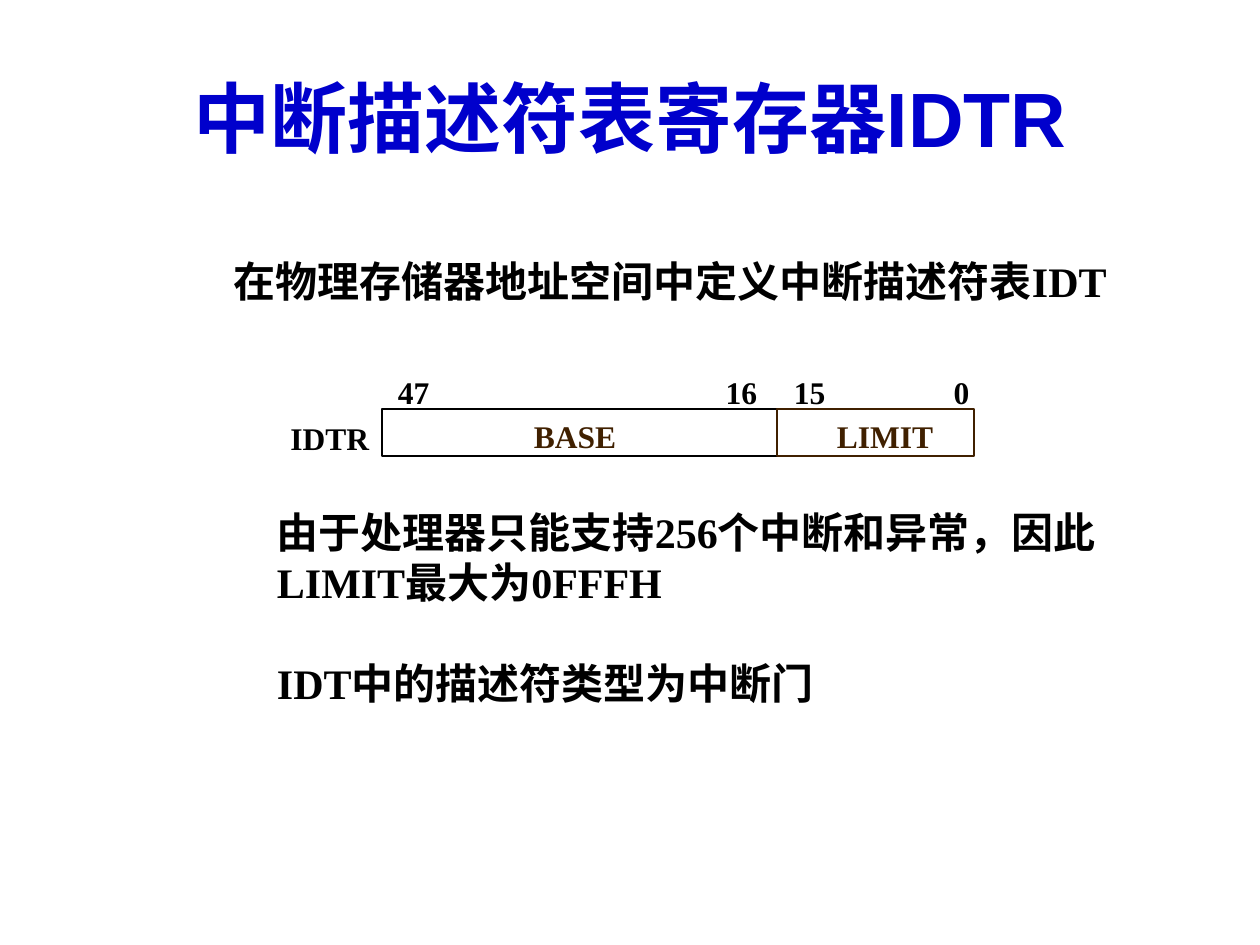
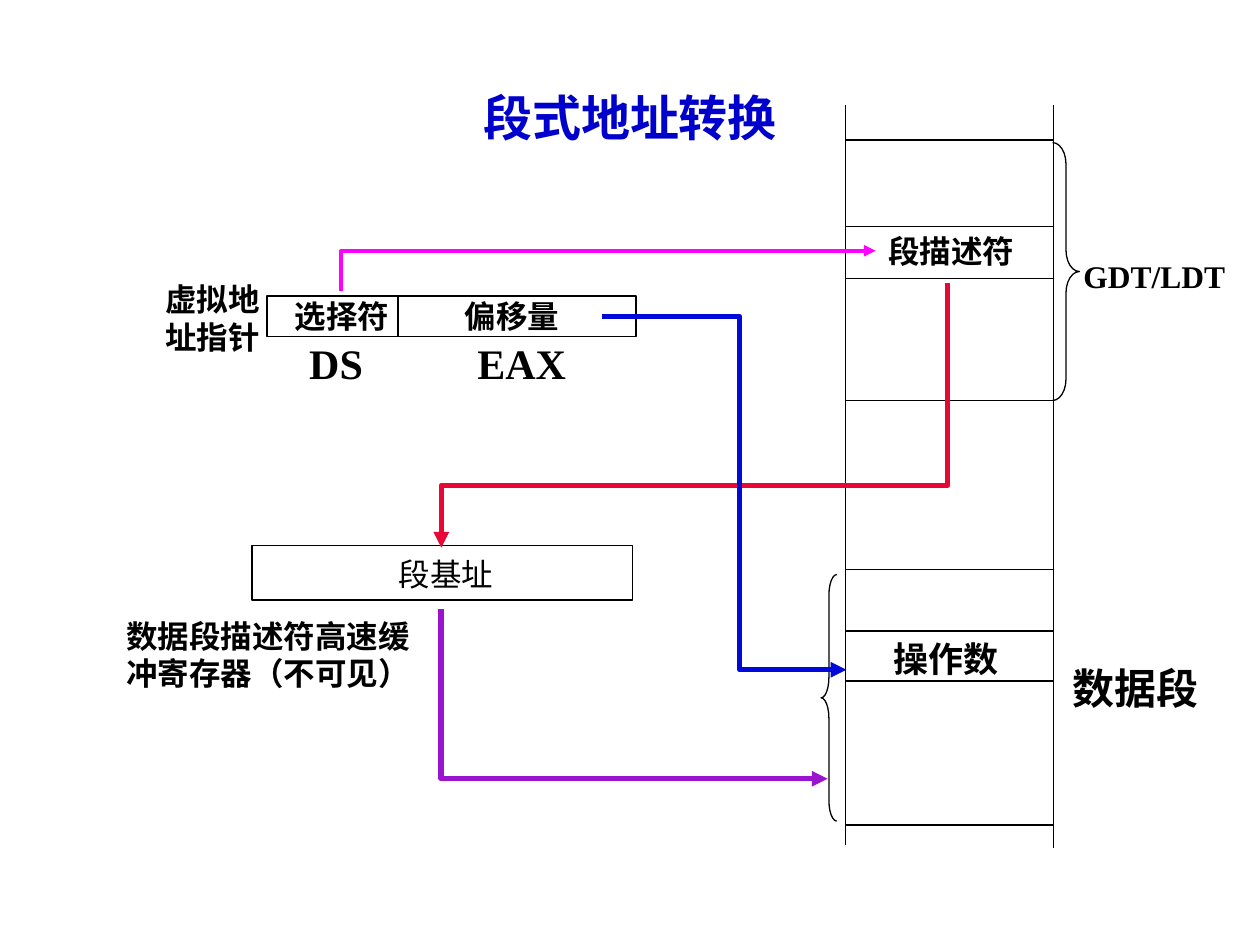
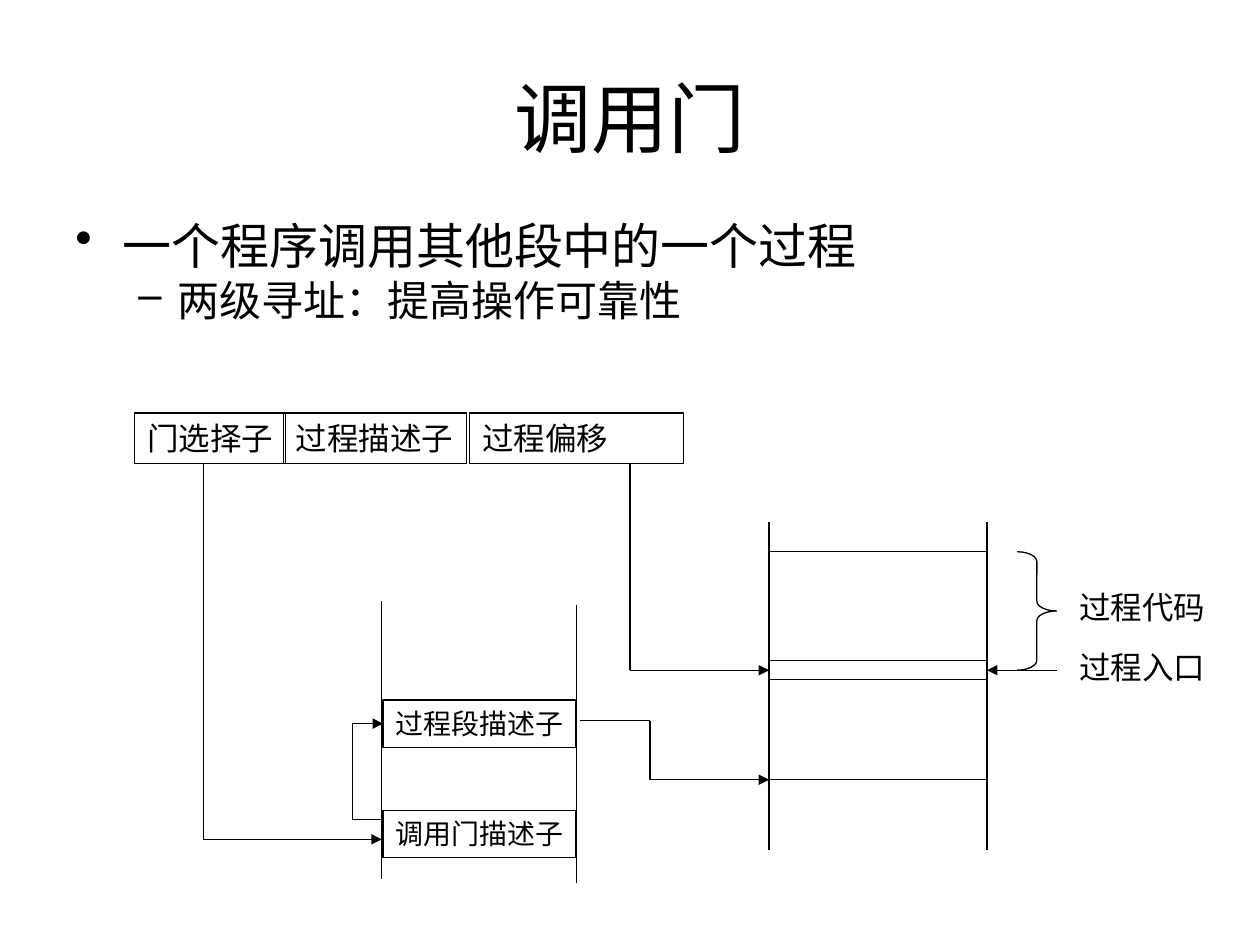
from dataclasses import dataclass
from lxml import etree
from pptx import Presentation
from pptx.dml.color import RGBColor
from pptx.enum.shapes import MSO_CONNECTOR, MSO_SHAPE
from pptx.enum.text import MSO_ANCHOR, MSO_AUTO_SIZE, PP_ALIGN
from pptx.oxml.ns import qn
from pptx.util import Pt

RECT, LBRACE, RBRACE = MSO_SHAPE.RECTANGLE, MSO_SHAPE.LEFT_BRACE, MSO_SHAPE.RIGHT_BRACE
STRAIGHT = MSO_CONNECTOR.STRAIGHT
TOP, MIDDLE = MSO_ANCHOR.TOP, MSO_ANCHOR.MIDDLE
LEFT, CENTER = PP_ALIGN.LEFT, PP_ALIGN.CENTER
GROW, FIXED = MSO_AUTO_SIZE.SHAPE_TO_FIT_TEXT, MSO_AUTO_SIZE.NONE
L_SIDE, R_SIDE = 1, 3
PAD = (7.2, 3.6, 7.2, 3.6)
BARE = (0, 0, 0, 0)


@dataclass(frozen=True)
class Theme:
    serif: str = "Times New Roman"
    sans: str = "Arial"
    ink: str = "000000"
    blue: str = "0000CC"
    brown: str = "402000"
    pink: str = "FF00FF"
    red: str = "E80838"
    violet: str = "9A14D0"
    azure: str = "000AD8"
    head: int = 44
    lead: int = 28
    big: int = 24
    mid: int = 20
    base: int = 18
    small: int = 16
    thin: float = 0.75
    edge: float = 1.13
    bold: float = 2.25
    thick: float = 3


T = Theme()

IDTR = {
    "title": "中断描述符表寄存器IDTR",
    "notes": [
        (126.6, 142.6, 540, 36, ["在物理存储器地址空间中定义中断描述符表IDT"]),
        (151.2, 285.8, 520, 122.4, ["由于处理器只能支持256个中断和异常，因此",
                                    "LIMIT最大为0FFFH", "IDT中的描述符类型为中断门"]),
    ],
    "gap": 28.8,
    "fields": [(218.2, 226, T.ink), (444.2, 112.3, T.brown)],
    "labels": [
        ("47", 227.3, 213.2, 24, T.ink), ("16", 414.7, 213.2, 24, T.ink),
        ("15", 453.6, 213.2, 24, T.ink), ("0", 545, 213.2, 14, T.ink),
        ("IDTR", 166, 239.6, 50, T.ink), ("BASE", 305.1, 238.4, 56, T.brown),
        ("LIMIT", 478.2, 238.4, 64, T.brown),
    ],
}

SEG = {
    "title": "段式地址转换",
    "boxes": [(144, 311.6, 217.4, 31.2), (152.6, 169.2, 210.8, 23.2)],
    "split": (227.5, 169.2, 192.6),
    "rails": [(483, 483.1), (601.9, 484.6)],
    "top": 59.8,
    "rows": [80, 129.4, 159.1, 228.8, 325.6, 360.6, 389.2, 471.5],
    "braces": [(RBRACE, 601.5, 81.5, 15.3, 147.4), (LBRACE, 469.2, 328.3, 9, 140.9)],
    "paths": [
        (T.pink, T.bold, [(195, 166.6), (195, 143.3), (500.4, 143.3)]),
        (T.red, T.thick, [(541.6, 161.5), (541.6, 277.3), (252.2, 277.3), (252.2, 313)]),
        (T.violet, T.thick, [(252, 348), (252, 445), (473, 445)]),
        (T.azure, T.thick, [(344, 180.9), (422.7, 180.9), (422.7, 382.7), (483.6, 382.7)]),
    ],
    "labels": [
        (["虚拟地", "址指针"], 87.4, 156.6, 76, 50.4, T.base),
        (["GDT/LDT"], 612, 143.3, 106, 28.8, T.base),
        (["选择符"], 161.3, 166.3, 76, 28.8, T.base),
        (["偏移量"], 258.5, 166.3, 76, 28.8, T.base),
        (["段描述符"], 500.4, 128.9, 94, 28.8, T.base),
        (["数据段描述符高速缓", "冲寄存器（不可见）"], 65.2, 348.8, 186, 50.4, T.base),
        (["数据段"], 605.5, 375.1, 96, 36, T.big),
        (["操作数"], 503.6, 360.7, 88, 31.7, T.mid),
        (["DS"], 169.6, 189.4, 60, 36, T.big),
        (["EAX"], 265.7, 189.4, 80, 36, T.big),
    ],
    "base": ("段基址", 220.8, 313.9, 76, 28.8),
}

GATE = {
    "title": "调用门",
    "points": [("一个程序调用其他段中的一个过程", "•", 27, 27, T.lead),
               ("两级寻址：提高操作可靠性", "–", 58.5, 22.5, T.big)],
    "fields": [("门选择子", 77, 86.4), ("过程描述子", 162, 104.4), ("过程偏移", 268.4, 122.4)],
    "cells": [("过程段描述子", 400), ("调用门描述子", 463)],
    "entry": (439.5, 377.5, 124.5, 11),
    "rails": [(218.2, 343.6, 502.4), (329.4, 346, 504.8), (439.5, 298.2, 485.5), (564, 298.2, 485.5)],
    "rows": [315.3, 445.6],
    "brace": (RBRACE, 581.2, 315.3, 22.6, 67.7),
    "labels": [("过程代码", 609.8, 332.6), ("过程入口", 609.8, 366.8)],
    "gate": [(116.2, 264.6), (116.2, 479.6), (218.2, 479.6)],
    "loop": [(218.2, 468.4), (201.4, 468.4), (201.4, 413.5), (218.9, 413.5)],
    "code": [(331.6, 411.8), (371.4, 411.8), (371.4, 445.6), (439.5, 445.6)],
    "jump": [(360, 264.6), (360, 383), (439.5, 383)],
    "back": [(604, 383), (564, 383)],
}


def rgb(hue):
    return RGBColor.from_string(hue)


def write(shape, lines, size, font, hue=T.ink, bold=False, align=LEFT, pad=PAD, anchor=TOP, grow=True):
    frame = shape.text_frame
    frame.text = "\n".join(lines)
    frame.word_wrap = not grow
    frame.auto_size = GROW if grow else FIXED
    frame.vertical_anchor = anchor
    frame.margin_left, frame.margin_top, frame.margin_right, frame.margin_bottom = map(Pt, pad)
    for para in frame.paragraphs:
        para.alignment = align
        for run in para.runs:
            run.font.size, run.font.name, run.font.bold = Pt(size), font, bold
            run.font.color.rgb = rgb(hue)
    return frame


def label(slide, box, lines, size, font=T.serif, bold=True, **style):
    shape = slide.shapes.add_textbox(*map(Pt, box))
    return write(shape, lines, size, font, bold=bold, **style)


def ink(shape, hue, width):
    shape.line.color.rgb = rgb(hue)
    shape.line.width = Pt(width)


def arrow(shape):
    etree.SubElement(shape.line._get_or_add_ln(), qn("a:tailEnd"), type="triangle")


def draw(slide, kind, box, hue=T.ink, width=T.thin):
    shape = slide.shapes.add_shape(kind, *map(Pt, box))
    shape.shadow.inherit = False
    shape.fill.background()
    ink(shape, hue, width)
    return shape


def brace(slide, kind, x, y, w, h):
    draw(slide, kind, (x, y, w, h)).adjustments[0] = h / w / 12


def line(slide, start, end):
    link = slide.shapes.add_connector(STRAIGHT, *map(Pt, start + end))
    ink(link, T.ink, T.thin)
    etree.SubElement(link._element.spPr, qn("a:effectLst"))
    return link


def route(slide, stops):
    for start, end in zip(stops, stops[1:]):
        link = line(slide, start, end)
    arrow(link)
    return link


def trace(slide, hue, width, stops):
    dots = [(Pt(x), Pt(y)) for x, y in stops]
    pen = slide.shapes.build_freeform(*dots[0])
    pen.add_line_segments(dots[1:], close=False)
    shape = pen.convert_to_shape()
    shape.shadow.inherit = False
    shape.fill.background()
    ink(shape, hue, width)
    arrow(shape)


def start(deck, title, size=T.head, font=T.sans, hue=T.ink, bold=False):
    slide = deck.slides.add_slide(deck.slide_layouts[5])
    head = slide.shapes.title
    head.left, head.top, head.width, head.height = map(Pt, (36, 21.6, 648, 90))
    write(head, [title], size, font, hue, bold, CENTER, anchor=MIDDLE, grow=False)
    return slide


def show_idtr(deck):
    slide = start(deck, IDTR["title"], hue=T.blue, bold=True)
    for x, y, w, h, lines in IDTR["notes"]:
        frame = label(slide, (x, y, w, h), lines, T.big)
        if len(lines) > 1:
            frame.paragraphs[-1].space_before = Pt(IDTR["gap"])
    for x, w, hue in IDTR["fields"]:
        draw(slide, RECT, (x, 234, w, 26.6), hue, T.edge)
    for text, x, y, w, hue in IDTR["labels"]:
        label(slide, (x, y, w, 21.6), [text], T.base, hue=hue, pad=BARE)


def show_seg(deck):
    slide = start(deck, SEG["title"], T.lead, T.serif, T.blue, True)
    for box in SEG["boxes"]:
        draw(slide, RECT, box)
    x, top, end = SEG["split"]
    line(slide, (x, top), (x, end))
    for x, end in SEG["rails"]:
        line(slide, (x, SEG["top"]), (x, end))
    (left, _), (right, _) = SEG["rails"]
    for y in SEG["rows"]:
        line(slide, (left, y), (right, y))
    for item in SEG["braces"]:
        brace(slide, *item)
    for item in SEG["paths"]:
        trace(slide, *item)
    for lines, x, y, w, h, size in SEG["labels"]:
        label(slide, (x, y, w, h), lines, size)
    text, *box = SEG["base"]
    label(slide, box, [text], T.base, T.sans, False)


def show_points(slide):
    points = GATE["points"]
    frame = label(slide, (36, 126, 664.6, 64.8), [item[0] for item in points],
                  T.lead, T.sans, False, grow=False)
    for para, (_, mark, left, hang, size) in zip(frame.paragraphs, points):
        props = para._p.get_or_add_pPr()
        props.set("marL", str(Pt(left)))
        props.set("indent", str(-Pt(hang)))
        etree.SubElement(props, qn("a:buChar"), char=mark)
        para.line_spacing = 0.8
        para.runs[0].font.size = Pt(size)
    frame.paragraphs[1].space_before = Pt(6)


def show_gate(deck):
    slide = start(deck, GATE["title"])
    show_points(slide)
    for text, x, w in GATE["fields"]:
        write(draw(slide, RECT, (x, 236, w, 28.8)), [text], T.base, T.sans)
    for x, top, end in GATE["rails"]:
        line(slide, (x, top), (x, end))
    cells = [draw(slide, RECT, (218.9, y, 110.2, 27)) for _, y in GATE["cells"]]
    for cell, (text, _) in zip(cells, GATE["cells"]):
        write(cell, [text], T.small, T.sans, align=CENTER)
    entry = draw(slide, RECT, GATE["entry"])
    left, _, width, _ = GATE["entry"]
    for y in GATE["rows"]:
        line(slide, (left, y), (left + width, y))
    brace(slide, *GATE["brace"])
    for text, x, y in GATE["labels"]:
        label(slide, (x, y, 94, 28.8), [text], T.base, T.sans, False)
    for name in ("gate", "code"):
        route(slide, GATE[name])
    for name, goal, side in (("loop", cells[0], L_SIDE), ("jump", entry, L_SIDE), ("back", entry, R_SIDE)):
        route(slide, GATE[name]).end_connect(goal, side)


def main():
    deck = Presentation()
    deck.slide_width, deck.slide_height = Pt(720), Pt(540)
    for show in (show_idtr, show_seg, show_gate):
        show(deck)
    deck.save("out.pptx")


if __name__ == "__main__":
    main()
